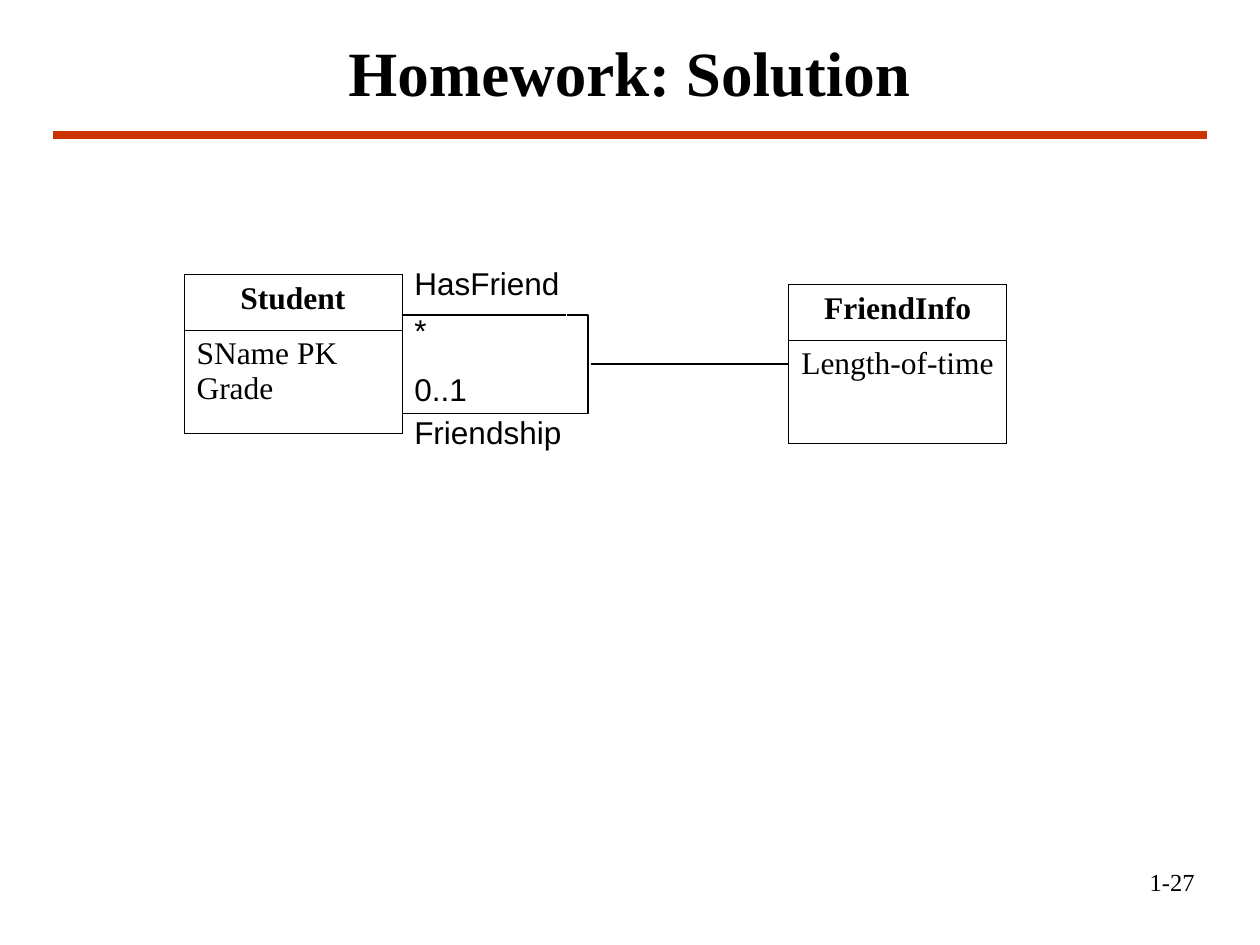
from lxml.etree import SubElement
from pptx import Presentation
from pptx.dml.color import RGBColor
from pptx.enum.shapes import MSO_CONNECTOR
from pptx.enum.text import MSO_ANCHOR, PP_ALIGN
from pptx.oxml import parse_xml
from pptx.oxml.ns import nsdecls, qn
from pptx.util import Inches, Pt

TITLE = "Homework: Solution"
PAGE = "1-27"
SERIF, SANS = "Times New Roman", "Arial"
BLACK, RED = "000000", "CC3300"
CLASS_W, ROW_H = 1.73, (0.44, 0.82)
CLASSES = [
    ("Student", ["SName PK", "Grade"], 1.46, 2.18),
    ("FriendInfo", ["Length-of-time"], 6.26, 2.26),
]
LABEL_X, LABEL_H = 3.19, 0.4
LABELS = [
    ("HasFriend", 2.05, 1.73),
    ("Friendship", 3.23, 1.73),
    ("*", 2.42, 0.71),
    ("0..1", 2.89, 0.71),
]
LINES = [
    ((0.42, 1.07), (9.58, 1.07), RED, 4.5),
    ((3.19, 2.5), (4.49, 2.5), BLACK, 0.75),
    ((4.69, 2.89), (6.26, 2.89), BLACK, 0.75),
]
LOOP = ((4.5, 2.5), (3.19, 3.28), BLACK, 0.75)
LOOP_BEND = -0.128


def rgb(value):
    return RGBColor.from_string(value)


def write(tf, lines, size=18, font=SERIF, bold=False, align=PP_ALIGN.LEFT, color=BLACK):
    tf.word_wrap = True
    for i, line in enumerate(lines):
        p = tf.paragraphs[0] if i == 0 else tf.add_paragraph()
        p.alignment = align
        r = p.add_run()
        r.text = line
        r.font.size, r.font.name, r.font.bold = Pt(size), font, bold
        r.font.color.rgb = rgb(color)


def add_text(s, text, x, y, w, h, **fmt):
    box = s.shapes.add_textbox(Inches(x), Inches(y), Inches(w), Inches(h))
    write(box.text_frame, [text], **fmt)


def add_line(s, start, end, color, width, kind=MSO_CONNECTOR.STRAIGHT):
    line = s.shapes.add_connector(kind, *(Inches(v) for v in start + end))
    line.line.color.rgb = rgb(color)
    line.line.width = Pt(width)
    SubElement(line._element.spPr, qn("a:effectLst"))
    return line


def add_border(cell, color=BLACK, width=0.45):
    tcPr = cell._tc.get_or_add_tcPr()
    for i, side in enumerate(("lnL", "lnR", "lnT", "lnB")):
        tcPr.insert(i, parse_xml(
            f'<a:{side} {nsdecls("a")} w="{Pt(width)}"><a:solidFill>'
            f'<a:srgbClr val="{color}"/></a:solidFill></a:{side}>'))


def add_class(s, name, attributes, x, y):
    table = s.shapes.add_table(2, 1, Inches(x), Inches(y), Inches(CLASS_W),
                               Inches(sum(ROW_H))).table
    table.first_row = table.horz_banding = False
    contents = [([name], True, PP_ALIGN.CENTER), (attributes, False, PP_ALIGN.LEFT)]
    for i, (lines, bold, align) in enumerate(contents):
        table.rows[i].height = Inches(ROW_H[i])
        cell = table.cell(i, 0)
        cell.fill.background()
        add_border(cell)
        write(cell.text_frame, lines, bold=bold, align=align)


def main():
    prs = Presentation()
    prs.slide_width, prs.slide_height = Inches(10), Inches(7.5)
    s = prs.slides.add_slide(prs.slide_layouts[5])

    title = s.shapes.title
    title.left, title.top = Inches(0.87), Inches(0.21)
    title.width, title.height = Inches(8.25), Inches(0.71)
    title.text_frame.vertical_anchor = MSO_ANCHOR.MIDDLE
    write(title.text_frame, [TITLE], size=36, bold=True, align=PP_ALIGN.CENTER)

    add_text(s, PAGE, 7.5, 6.83, 2.08, 0.5, size=14, align=PP_ALIGN.RIGHT)
    for entry in CLASSES:
        add_class(s, *entry)
    for entry in LINES:
        add_line(s, *entry)
    loop = add_line(s, *LOOP, kind=MSO_CONNECTOR.ELBOW)
    guides = loop._element.spPr.find(qn("a:prstGeom")).get_or_add_avLst()
    SubElement(guides, qn("a:gd"), name="adj1", fmla=f"val {round(LOOP_BEND * 100000)}")
    for text, y, w in LABELS:
        add_text(s, text, LABEL_X, y, w, LABEL_H, font=SANS)

    prs.save("out.pptx")


if __name__ == "__main__":
    main()
